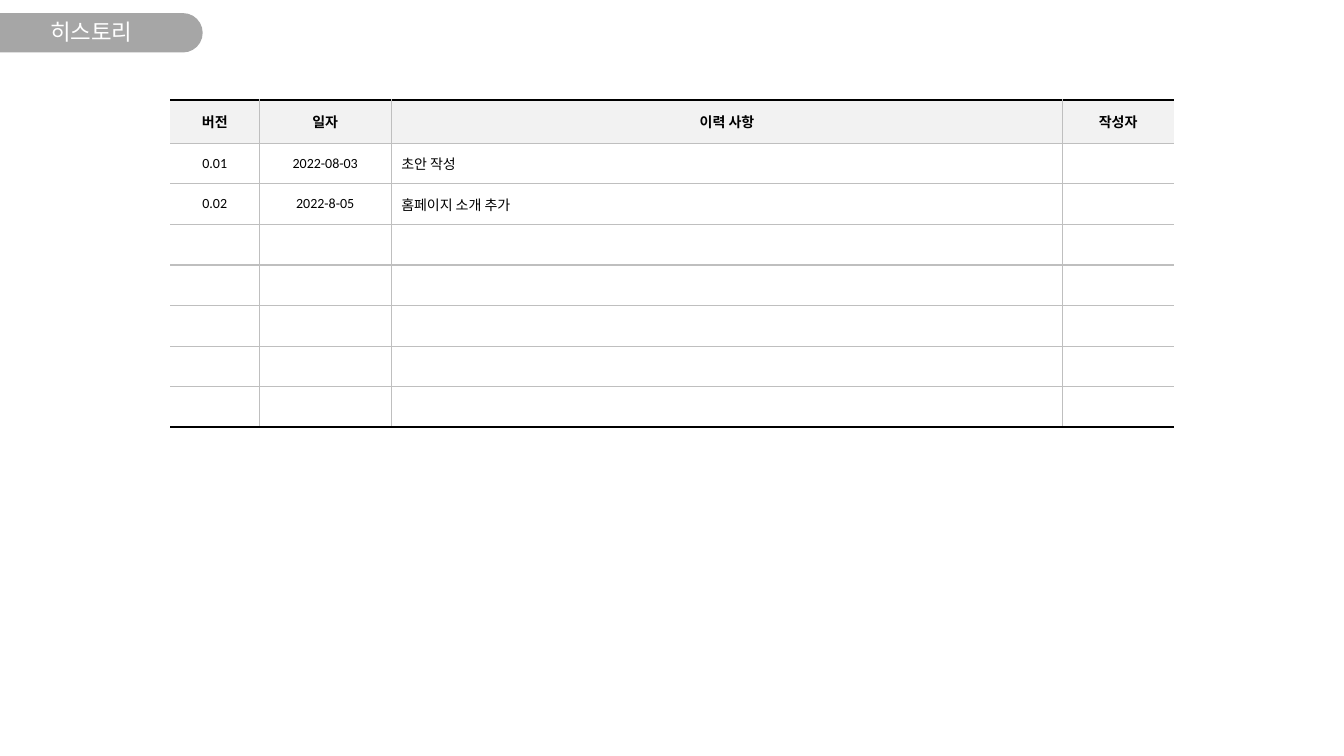
from lxml import etree
from pptx import Presentation
from pptx.dml.color import RGBColor
from pptx.enum.shapes import MSO_SHAPE
from pptx.enum.text import MSO_ANCHOR, MSO_AUTO_SIZE, PP_ALIGN
from pptx.oxml.ns import qn
from pptx.util import Inches, Pt

TAB = MSO_SHAPE.ROUND_2_SAME_RECTANGLE
MIDDLE = MSO_ANCHOR.MIDDLE
NO_FIT = MSO_AUTO_SIZE.NONE
CENTER, LEFT = PP_ALIGN.CENTER, PP_ALIGN.LEFT

FONT = "Calibri"
BLACK = RGBColor(0x00, 0x00, 0x00)
WHITE = RGBColor(0xFF, 0xFF, 0xFF)
GRAY = RGBColor(0xA6, 0xA6, 0xA6)
RULE = RGBColor(0xBF, 0xBF, 0xBF)
PALE = RGBColor(0xF2, 0xF2, 0xF2)

COLS = [0.88, 1.31, 6.66, 1.1]
HEAD = 0.43
ROWS = [
    ["버전", "일자", "이력 사항", "작성자"],
    ["0.01", "2022-08-03", "초안 작성", ""],
    ["0.02", "2022-8-05", "홈페이지 소개 추가", ""],
] + [[""] * len(COLS)] * 5


def add_run(para, text, size, color, bold=False):
    run = para.add_run()
    run.text = text
    font = run.font
    font.name, font.size, font.bold = FONT, Pt(size), bold
    font.color.rgb = color


def set_edges(cell, edges):
    """Draw the four borders; an edge of None stays bare."""
    props = cell._tc.get_or_add_tcPr()
    for i, (side, edge) in enumerate(edges.items()):
        line = etree.Element(qn("a:ln" + side))
        if edge:
            color, width = edge
            line.set("w", str(Pt(width)))
            fill = etree.SubElement(line, qn("a:solidFill"))
            etree.SubElement(fill, qn("a:srgbClr"), val=str(color))
        else:
            etree.SubElement(line, qn("a:noFill"))
        props.insert(i, line)


def add_title(slide, x, y, w, h):
    # Gray tab, turned so that its round end points right
    tab = slide.shapes.add_shape(
        TAB, Inches(x + (w - h) / 2), Inches(y + (h - w) / 2),
        Inches(h), Inches(w))
    tab.rotation = 270
    tab.adjustments[0], tab.adjustments[1] = 0, 0.5
    tab.shadow.inherit = False
    tab.fill.solid()
    tab.fill.fore_color.rgb = GRAY
    tab.line.fill.background()

    # Title text in front of the tab
    title = slide.shapes.title
    title._element.addprevious(tab._element)
    title.left, title.top = Inches(x), Inches(y)
    title.width, title.height = Inches(w - 0.19), Inches(h)
    frame = title.text_frame
    frame.auto_size = NO_FIT
    frame.word_wrap = True
    frame.vertical_anchor = MIDDLE
    para = frame.paragraphs[0]
    para.alignment = CENTER
    para.line_spacing = 0.9
    para.space_before = Pt(10)
    add_run(para, "히스토리", 16, WHITE)


def add_log(slide, x, y, w, h):
    last_row, last_col = len(ROWS) - 1, len(COLS) - 1
    table = slide.shapes.add_table(
        len(ROWS), len(COLS), Inches(x), Inches(y), Inches(w), Inches(h)).table
    table.first_row = table.horz_banding = False
    for col, width in zip(table.columns, COLS):
        col.width = Inches(width)
    for r, row in enumerate(table.rows):
        row.height = Inches(HEAD if r == 0 else (h - HEAD) / last_row)

    thin, thick = (RULE, 1), (BLACK, 1.5)
    for r, texts in enumerate(ROWS):
        for c, text in enumerate(texts):
            cell = table.cell(r, c)
            cell.vertical_anchor = MIDDLE
            cell.margin_top = cell.margin_bottom = Inches(0.04)
            if r == 0:
                cell.fill.solid()
                cell.fill.fore_color.rgb = PALE
            else:
                cell.fill.background()
            set_edges(cell, {
                "L": thin if c > 0 else None,
                "R": thin if c < last_col else None,
                "T": thin if r > 0 else thick,
                "B": thin if r < last_row else thick,
            })
            if text:
                para = cell.text_frame.paragraphs[0]
                para.alignment = LEFT if r > 0 and c == 2 else CENTER
                add_run(para, text, 10, BLACK, bold=r == 0)


def main():
    deck = Presentation()
    deck.slide_width, deck.slide_height = Inches(13.33), Inches(7.5)
    slide = deck.slides.add_slide(deck.slide_layouts[5])
    add_title(slide, -0.01, 0.13, 2.02, 0.39)
    add_log(slide, 1.69, 0.99, sum(COLS), 3.25)
    deck.save("out.pptx")


if __name__ == "__main__":
    main()
